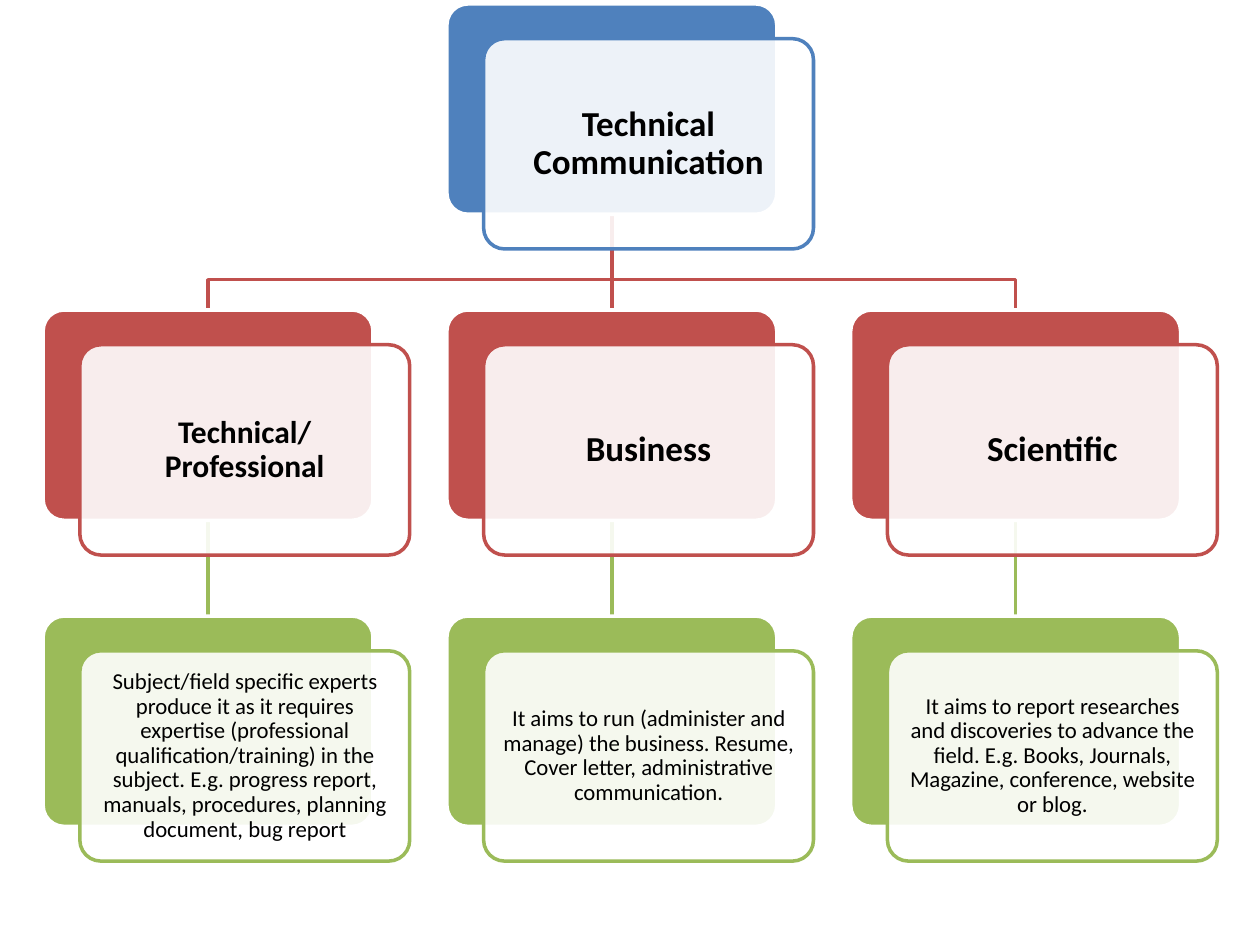
"""Build a three-level chart of the kinds of technical communication."""
import pptx
import pptx.dml.color
import pptx.enum.shapes
import pptx.enum.text
import pptx.oxml
import pptx.oxml.ns
import pptx.util
from pptx.util import Cm

BLUE, RED, GREEN = "4F81BD", "C0504D", "9BBB59"
LEFT, TOP = 0.87, 0.08
WIDE, HIGH = 6.65, 4.24
STEP, DROP = 8.14, 6.17
CARDS = [
    (1, 0, BLUE, 20, 0.33, "Technical Communication"),
    (0, 1, RED, 18, 0.3, "Technical/Professional"),
    (0, 2, GREEN, 13, 0.25,
     "Subject/field specific experts produce it as it requires expertise "
     "(professional qualification/training) in the subject. E.g. progress "
     "report, manuals, procedures, planning document, bug report"),
    (1, 1, RED, 20, 0.33, "Business"),
    (1, 2, GREEN, 13, 0.25,
     "It aims to run (administer and manage) the business. Resume, "
     "Cover letter, administrative communication."),
    (2, 1, RED, 20, 0.33, "Scientific"),
    (2, 2, GREEN, 13, 0.25,
     "It aims to report researches and discoveries to advance the field. "
     "E.g. Books, Journals, Magazine, conference, website or blog."),
]


def paint(form, code):
    """Give a fill, line or font format a solid colour."""
    if hasattr(form, "solid"):
        form.solid()
        form = form.fore_color
    else:
        form = form.color
    form.rgb = pptx.dml.color.RGBColor.from_string(code)


def panel(x, y, fill, line):
    """Add one rounded box and return it."""
    box = slide.shapes.add_shape(
        pptx.enum.shapes.MSO_SHAPE.ROUNDED_RECTANGLE,
        Cm(x), Cm(y), Cm(WIDE), Cm(HIGH))
    box.adjustments[0] = 0.1
    box.shadow.inherit = False
    paint(box.fill, fill)
    paint(box.line, line)
    box.line.width = pptx.util.Pt(2)
    return box


deck = pptx.Presentation()
deck.slide_width, deck.slide_height = Cm(25.4), Cm(19.05)
slide = deck.slides.add_slide(deck.slide_layouts[6])

root = LEFT + STEP + WIDE / 2
start = TOP + HIGH
end = TOP + DROP
bend = 5.64
for col in (2, 1, 0):
    mid = LEFT + col * STEP + WIDE / 2
    stems = [(start + DROP, end + DROP, GREEN)]
    if col == 1:
        stems.append((start, end, RED))
    else:
        pen = slide.shapes.build_freeform(Cm(root), Cm(start))
        pen.add_line_segments(
            [(Cm(root), Cm(bend)), (Cm(mid), Cm(bend)), (Cm(mid), Cm(end))],
            close=False)
        elbow = pen.convert_to_shape()
        elbow.shadow.inherit = False
        elbow.fill.background()
        paint(elbow.line, RED)
        elbow.line.width = pptx.util.Pt(2)
    for high, low, hue in stems:
        stem = slide.shapes.add_connector(
            pptx.enum.shapes.MSO_CONNECTOR.STRAIGHT,
            Cm(mid), Cm(high), Cm(mid), Cm(low))
        paint(stem.line, hue)
        stem.line.width = pptx.util.Pt(2)
        pptx.oxml.ns.qn("a:effectLst")
        stem._element.spPr.append(pptx.oxml.parse_xml(
            "<a:effectLst %s/>" % pptx.oxml.ns.nsdecls("a")))

for col, row, hue, size, pad, words in CARDS:
    x, y = LEFT + col * STEP, TOP + row * DROP
    panel(x, y, hue, "FFFFFF")
    card = panel(x + 0.74, y + 0.7, "FFFFFF", hue)
    tint = card.fill._xPr.find(".//" + pptx.oxml.ns.qn("a:srgbClr"))
    tint.append(pptx.oxml.parse_xml(
        '<a:alpha %s val="90000"/>' % pptx.oxml.ns.nsdecls("a")))
    frame = card.text_frame
    frame.text = words
    frame.word_wrap = True
    frame.vertical_anchor = pptx.enum.text.MSO_ANCHOR.MIDDLE
    frame.margin_left = frame.margin_right = Cm(pad)
    frame.margin_top = frame.margin_bottom = Cm(pad)
    para = frame.paragraphs[0]
    para.alignment = pptx.enum.text.PP_ALIGN.CENTER
    para.line_spacing = 0.9
    font = para.runs[0].font
    font.name = "Calibri"
    font.size = pptx.util.Pt(size)
    font.bold = row < 2
    paint(font, "000000")

deck.save("out.pptx")
